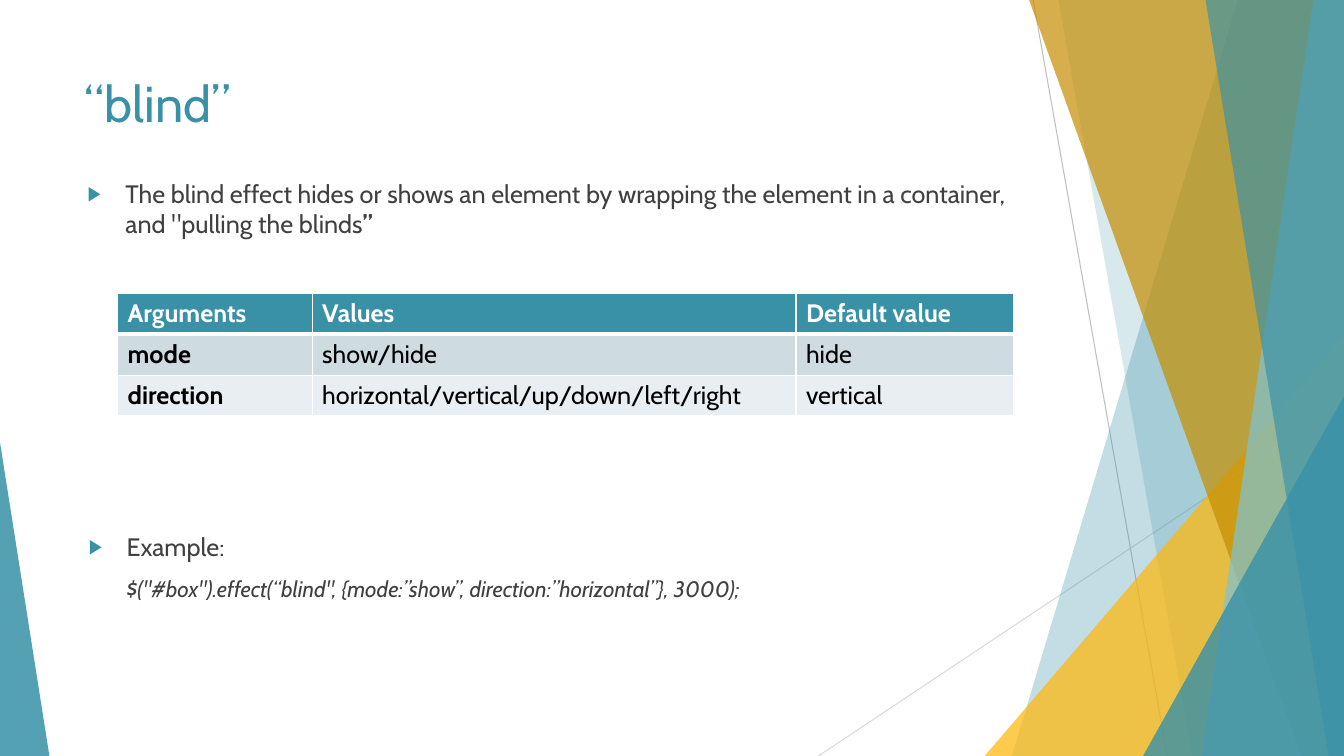
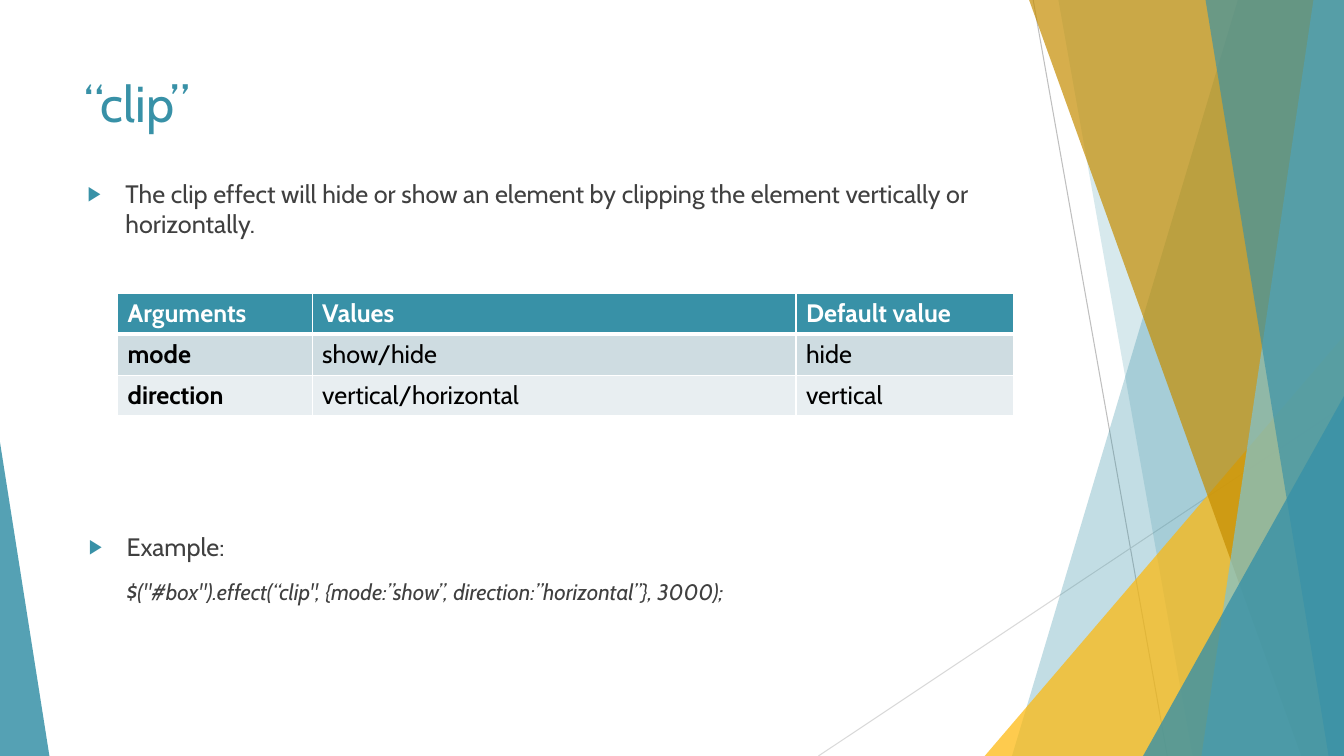
"""Build two slides on the blind and clip effects."""
import lxml.etree
import pptx
import pptx.dml.color
import pptx.enum.shapes
import pptx.enum.text
import pptx.oxml.ns
import pptx.util

Pt = pptx.util.Pt
RGB = pptx.dml.color.RGBColor.from_string
qn = pptx.oxml.ns.qn


class Theme:
    font = "Cabin"
    teal, sky, yellow, ochre = "3891A7", "7EC3D4", "FEB80A", "C58D01"
    text, black, white = "404040", "000000", "FFFFFF"
    line_dark, line_light = "BFBFBF", "D9D9D9"
    rows = ("3891A7", "CEDCE1", "E8EEF1")
    title_size, body_size, code_size = 36, 18, 16


def write(p, text, size, color, **extra):
    r = p.add_run()
    r.text = text
    for name, value in {"name": Theme.font, "size": Pt(size), **extra}.items():
        setattr(r.font, name, value)
    r.font.color.rgb = RGB(color)


def add_xml(parent, tag, **attrs):
    return lxml.etree.SubElement(parent, qn(tag), **attrs)


contents = [
    {
        "title": "“blind”",
        "intro": [
            ("The blind effect hides or shows an element by wrapping the element "
             "in a container, and \"pulling the blinds", False),
            ("”", True),
        ],
        "directions": "horizontal/vertical/up/down/left/right",
        "code": "$(\"#box\").effect(“blind\", {mode:”show”, direction:”horizontal”}, 3000);",
        "code_gap": 10,
    },
    {
        "title": "“clip”",
        "intro": [
            ("The clip effect will hide or show an element by clipping the element "
             "vertically or horizontally.", False),
        ],
        "directions": "vertical/horizontal",
        "code": "$(\"#box\").effect(“clip\", {mode:”show”, direction:”horizontal”}, 3000);",
        "code_gap": 12,
    },
]

prs = pptx.Presentation()
width, height = 960, 540
prs.slide_width, prs.slide_height = Pt(width), Pt(height)

layout = prs.slide_layouts.get_by_name("Two Content")
places = {0: (53.3, 48.2, 677, 104), 1: (55.4, 123.8, 677, 305), 2: (56.2, 375.8, 677, 120)}
for ph in list(layout.placeholders):
    idx = ph.placeholder_format.idx
    if idx in places:
        ph.left, ph.top, ph.width, ph.height = map(Pt, places[idx])
    else:
        ph.element.getparent().remove(ph.element)

slides = [prs.slides.add_slide(layout) for _ in contents]

decor = slides[0].shapes.add_group_shape()
for x1, y1, x2, y2, color in [
    (738, 0, 833.8, height, Theme.line_dark),
    (width, 290, 584.6, height, Theme.line_light),
]:
    line = decor.shapes.add_connector(
        pptx.enum.shapes.MSO_CONNECTOR.STRAIGHT, Pt(x1), Pt(y1), Pt(x2), Pt(y2))
    line.line.width = Pt(0.75)
    line.line.color.rgb = RGB(color)
    add_xml(line.element.spPr, "a:effectLst")

# Bands give (top x, bottom x); triangles give (left, top, width, apex).
for geometry, color, opacity in [
    ((884.2, 722.9), Theme.teal, 30),
    ((756, 851.8), Theme.teal, 20),
    ((703.4, 240, 256.6, 1), Theme.yellow, 72),
    ((735.1, 929.5), Theme.ochre, 70),
    ((938.2, 858.2), Theme.sky, 70),
    ((861.1, 949), Theme.teal, 65),
    ((816.5, 283, 143.5, 1), Theme.teal, 80),
    ((0, 316, 35.3, 0), Theme.teal, 85),
]:
    if len(geometry) == 2:
        top_x, bottom_x = geometry
        outline = decor.shapes.build_freeform(Pt(top_x), 0)
        outline.add_line_segments([
            (Pt(width), 0), (Pt(width), Pt(height)), (Pt(bottom_x), Pt(height))])
        sp = outline.convert_to_shape()
    else:
        left, top, base, apex = geometry
        sp = decor.shapes.add_shape(
            pptx.enum.shapes.MSO_SHAPE.ISOSCELES_TRIANGLE,
            Pt(left), Pt(top), Pt(base), Pt(height - top))
        sp.adjustments[0] = apex
    sp.shadow.inherit = False
    sp.fill.solid()
    sp.fill.fore_color.rgb = RGB(color)
    sp.line.fill.background()
    fill_color = sp.element.spPr.find(qn("a:solidFill")).find(qn("a:srgbClr"))
    add_xml(fill_color, "a:alpha", val=str(opacity * 1000))
layout.shapes.element.insert(2, decor.element)

for s, content in zip(slides, contents):
    title, intro, example = (s.placeholders[idx].text_frame for idx in places)
    for tf in (title, intro, example):
        for name, value in {
            "word_wrap": True,
            "auto_size": pptx.enum.text.MSO_AUTO_SIZE.NONE,
            "vertical_anchor": pptx.enum.text.MSO_ANCHOR.TOP,
        }.items():
            setattr(tf, name, value)

    title.paragraphs[0].alignment = pptx.enum.text.PP_ALIGN.LEFT
    write(title.paragraphs[0], content["title"], Theme.title_size, Theme.teal)

    code = example.add_paragraph()
    for p, bullet, gap in [
        (intro.paragraphs[0], True, 0),
        (example.paragraphs[0], True, 0),
        (code, False, content["code_gap"]),
    ]:
        p.space_before = Pt(gap)
        pPr = p._p.get_or_add_pPr()
        pPr.set("marL", str(Pt(27)))
        pPr.set("indent", str(Pt(-27 if bullet else 0)))
        if bullet:
            add_xml(add_xml(pPr, "a:buClr"), "a:srgbClr", val=Theme.teal)
            add_xml(pPr, "a:buSzPct", val="80000")
            add_xml(pPr, "a:buChar", char="▶")
        else:
            add_xml(pPr, "a:buNone")

    for text, bold in content["intro"]:
        write(intro.paragraphs[0], text, Theme.body_size, Theme.text, bold=bold)
    write(example.paragraphs[0], "Example:", Theme.body_size, Theme.text)
    write(code, content["code"], Theme.code_size, Theme.text, italic=True)

    rows = [
        ("Arguments", "Values", "Default value"),
        ("mode", "show/hide", "hide"),
        ("direction", content["directions"], "vertical"),
    ]
    columns, row_height = (139, 345.6, 155.4), 29.2
    table = s.shapes.add_table(
        len(rows), len(columns), Pt(84), Pt(209.6),
        Pt(sum(columns)), Pt(row_height * len(rows))).table
    table.horz_banding = False
    for column, column_width in zip(table.columns, columns):
        column.width = Pt(column_width)
    for i, row in enumerate(rows):
        table.rows[i].height = Pt(row_height)
        for j, text in enumerate(row):
            cell = table.cell(i, j)
            borders = {"L": 1, "R": 1, "T": 3 if i == 1 else 1, "B": 3 if i == 0 else 1}
            tcPr = cell._tc.get_or_add_tcPr()
            for side, weight in borders.items():
                border = add_xml(tcPr, f"a:ln{side}", w=str(Pt(weight)))
                add_xml(add_xml(border, "a:solidFill"), "a:srgbClr", val=Theme.white)
            cell.fill.solid()
            cell.fill.fore_color.rgb = RGB(Theme.rows[i])
            write(cell.text_frame.paragraphs[0], text, Theme.body_size,
                  Theme.black if i else Theme.white, bold=i == 0 or j == 0)

prs.save("out.pptx")
